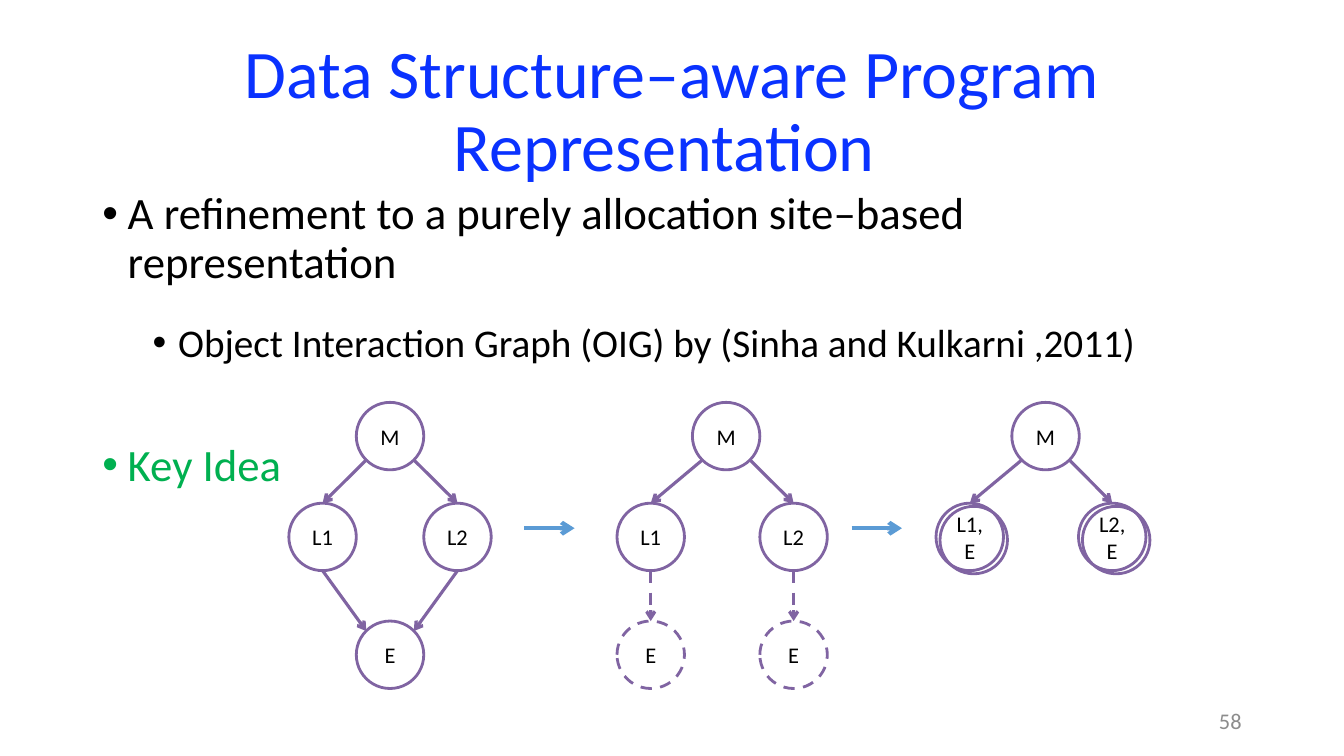
from lxml.etree import SubElement
from pptx import Presentation
from pptx.dml.color import RGBColor
from pptx.enum.dml import MSO_LINE
from pptx.enum.shapes import MSO_CONNECTOR, MSO_SHAPE
from pptx.enum.text import MSO_ANCHOR, PP_ALIGN
from pptx.oxml.ns import qn
from pptx.util import Cm, Pt

WHITE = RGBColor(0xFF, 0xFF, 0xFF)
BLACK = RGBColor(0, 0, 0)
TITLE_BLUE = RGBColor(0x0A, 0x32, 0xFF)
KEY_GREEN = RGBColor(0x00, 0xB0, 0x50)
NUMBER_GREY = RGBColor(0x8C, 0x8C, 0x8C)
NODE_PURPLE = RGBColor(0x80, 0x64, 0xA2)
STEP_BLUE = RGBColor(0x5B, 0x9B, 0xD5)

RADIUS = 0.85
DIAGONAL = 0.6  # offset of a 45° point on a node's rim
ROOT_Y, LIST_Y, ELEMENT_Y = 10.99, 13.53, 16.5


class GraphSlide:
    font_name = "Calibri"

    def __init__(self, deck):
        self.page = deck.slides.add_slide(deck.slide_layouts[6])

    def apply(self, target, formats):
        for name, value in formats.items():
            setattr(target, name, value)

    def add_text(self, para, text, size, color, **formats):
        self.apply(para, formats)
        span = para.add_run()
        span.text = text
        self.apply(span.font, {"name": self.font_name, "size": Pt(size)})
        span.font.color.rgb = color

    def text_box(self, left, top, width, height, anchor=MSO_ANCHOR.TOP):
        box = self.page.shapes.add_textbox(Cm(left), Cm(top), Cm(width), Cm(height))
        self.apply(box.text_frame, {"word_wrap": True, "vertical_anchor": anchor})
        return box.text_frame

    def bullet(self, para, text, size, color, margin, **formats):
        properties = para._p.get_or_add_pPr()
        properties.set("marL", str(Cm(margin)))
        properties.set("indent", str(Cm(-0.64)))
        SubElement(properties, qn("a:buFont")).set("typeface", "Arial")
        SubElement(properties, qn("a:buChar")).set("char", "•")
        self.add_text(para, text, size, color, **formats)

    def node(self, x, y, label="", dash=None, filled=True):
        circle = self.page.shapes.add_shape(
            MSO_SHAPE.OVAL, Cm(x - RADIUS), Cm(y - RADIUS), Cm(2 * RADIUS), Cm(2 * RADIUS))
        circle.shadow.inherit = False
        if filled:
            circle.fill.solid()
            circle.fill.fore_color.rgb = WHITE
        else:
            circle.fill.background()
        circle.line.color.rgb = NODE_PURPLE
        self.apply(circle.line, {"width": Pt(2), "dash_style": dash})
        if label:
            self.apply(circle.text_frame, {"word_wrap": True, "vertical_anchor": MSO_ANCHOR.MIDDLE})
            self.add_text(circle.text_frame.paragraphs[0], label, 16, BLACK,
                          alignment=PP_ALIGN.CENTER)

    def arrow(self, start, end, color=NODE_PURPLE, width=2.25, dash=None):
        connector = self.page.shapes.add_connector(
            MSO_CONNECTOR.STRAIGHT, *(Cm(value) for value in (*start, *end)))
        connector.line.color.rgb = color
        self.apply(connector.line, {"width": Pt(width), "dash_style": dash})
        properties = connector._element.spPr
        SubElement(properties.find(qn("a:ln")), qn("a:tailEnd")).set("type", "arrow")
        SubElement(properties, qn("a:effectLst"))

    def tree(self, root_x, children):
        """Draw a root with its left and right child, given as (x, label)."""
        self.node(root_x, ROOT_Y, "M")
        for side, (x, label) in zip((-1, 1), children):
            self.node(x, LIST_Y, label)
            self.arrow((root_x + side * DIAGONAL, ROOT_Y + DIAGONAL), (x, LIST_Y - RADIUS))


def main():
    deck = Presentation()
    deck.slide_width, deck.slide_height = Cm(33.87), Cm(19.05)
    slide = GraphSlide(deck)

    # Title and page number
    title = slide.text_box(2.33, 1.01, 29.21, 3.68, MSO_ANCHOR.MIDDLE)
    slide.add_text(title.paragraphs[0], "Data Structure–aware Program Representation ", 48.6,
                   TITLE_BLUE, alignment=PP_ALIGN.CENTER, line_spacing=0.9)
    number = slide.text_box(23.92, 17.66, 7.62, 1.01, MSO_ANCHOR.MIDDLE)
    slide.add_text(number.paragraphs[0], "58", 16, NUMBER_GREY, alignment=PP_ALIGN.RIGHT)

    # Bullets
    body = slide.text_box(2.33, 4.69, 29.21, 12.02)
    slide.bullet(body.paragraphs[0], "A refinement to a purely allocation site–based representation",
                 32, BLACK, 0.64, line_spacing=0.9)
    slide.bullet(body.add_paragraph(), "Object Interaction Graph (OIG) by (Sinha and Kulkarni ,2011)",
                 28, BLACK, 1.91, level=1, line_spacing=1.5, space_before=Pt(5))
    slide.bullet(body.add_paragraph(), "Key Idea", 32, KEY_GREEN, 0.64,
                 line_spacing=0.9, space_before=Pt(55))

    # Shared element below both lists
    shared_x, left_x, right_x = 9.83, 8.13, 11.53
    slide.tree(shared_x, [(left_x, "L1"), (right_x, "L2")])
    slide.node(shared_x, ELEMENT_Y, "E")
    for side, x in ((-1, left_x), (1, right_x)):
        slide.arrow((x, LIST_Y + RADIUS), (shared_x + side * DIAGONAL, ELEMENT_Y - DIAGONAL))

    # Element split per list
    split_lists = [(16.4, "L1"), (20.0, "L2")]
    slide.tree(18.3, split_lists)
    for x, _ in split_lists:
        slide.node(x, ELEMENT_Y, "E", MSO_LINE.DASH)
        slide.arrow((x, LIST_Y + RADIUS), (x, ELEMENT_Y - RADIUS), dash=MSO_LINE.DASH)

    # Element merged into each list, shown as a double ring
    merged_lists = [(24.44, "L1,E"), (28.03, "L2,E")]
    slide.tree(26.35, merged_lists)
    for x, _ in merged_lists:
        slide.node(x + 0.1, LIST_Y + 0.08, filled=False)

    # Steps between the graphs
    for x in (13.21, 21.46):
        slide.arrow((x, 13.31), (x + 1.27, 13.31), STEP_BLUE, 3)

    deck.save("out.pptx")


if __name__ == "__main__":
    main()
